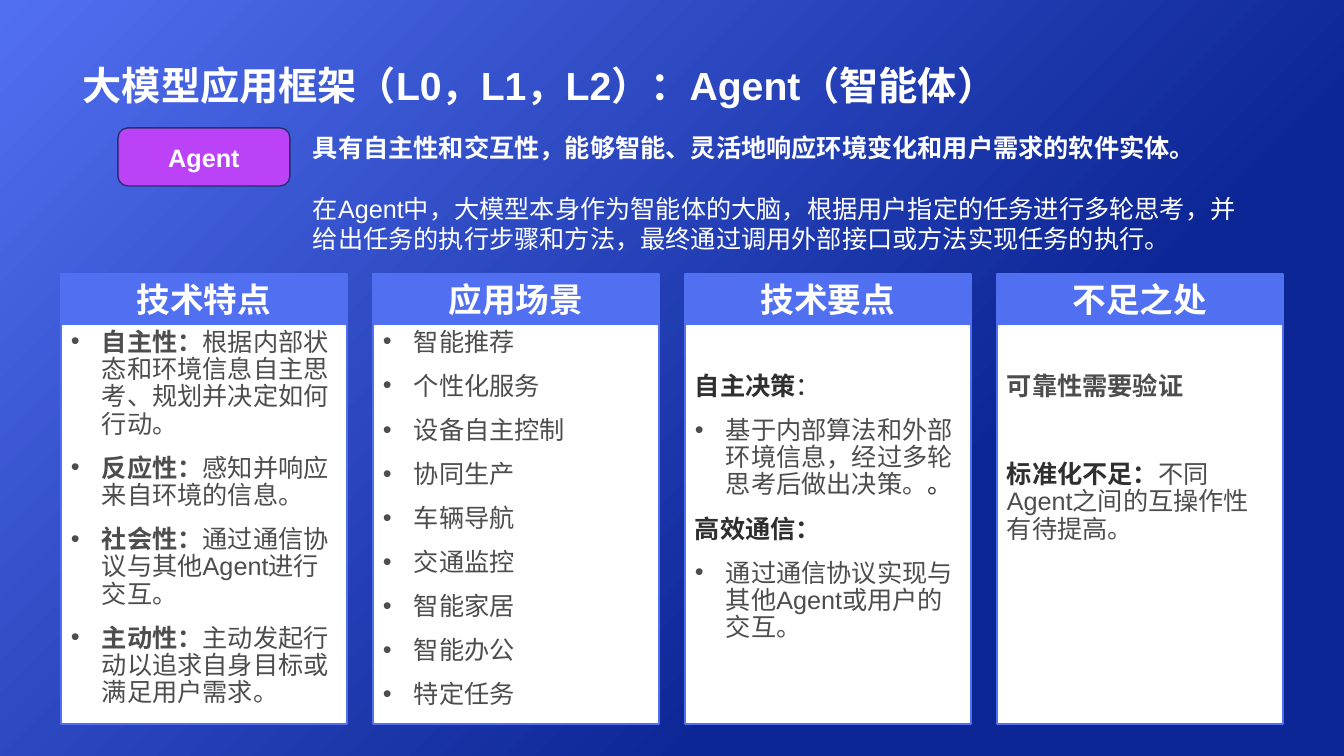
from lxml import etree
from pptx import Presentation
from pptx import util as u
from pptx.dml.color import RGBColor
from pptx.enum import shapes, text
from pptx.oxml.ns import qn

# Content: a paragraph is (kind, runs), a run is (text, colour, bold)
TITLE = "大模型应用框架（L0，L1，L2）：Agent（智能体）"
BADGE = "Agent"
INTRO = [
    ("plain", [("具有自主性和交互性，能够智能、灵活地响应环境变化和用户需求的软件实体。", "white", True)]),
    ("plain", [("在Agent中，大模型本身作为智能体的大脑，根据用户指定的任务进行多轮思考，"
                "并给出任务的执行步骤和方法，最终通过调用外部接口或方法实现任务的执行。", "white", False)]),
]
FEATURES = [
    ("自主性：", "根据内部状态和环境信息自主思考、规划并决定如何行动。"),
    ("反应性：", "感知并响应来自环境的信息。"),
    ("社会性：", "通过通信协议与其他Agent进行交互。"),
    ("主动性：", "主动发起行动以追求自身目标或满足用户需求。"),
]
SCENARIOS = ["智能推荐", "个性化服务", "设备自主控制", "协同生产", "车辆导航",
             "交通监控", "智能家居", "智能办公", "特定任务"]
KEY_POINTS = [
    ("plain", [("自主决策", "dark", True), ("：", "dark", False)]),
    ("bullet", [("基于内部算法和外部环境信息，经过多轮思考后做出决策。", "grey", False),
                ("。", "dark", False)]),
    ("plain", [("高效通信：", "dark", True)]),
    ("bullet", [("通过通信协议实现与其他Agent或用户的交互。", "grey", False)]),
]
SHORTCOMINGS = [
    ("plain", [("可靠性需要验证", "grey", True)]),
    ("plain", [("标准化不足：", "dark", True),
               ("不同Agent之间的互操作性有待提高。", "grey", False)]),
]
# Column: heading, paragraphs, top inset in px, extra gap between paragraphs in pt
COLUMNS = [
    ("技术特点", [("bullet", [(name, "grey", True), (desc, "grey", False)])
              for name, desc in FEATURES], 5, 0),
    ("应用场景", [("bullet", [(item, "grey", False)]) for item in SCENARIOS], 5, 0),
    ("技术要点", KEY_POINTS, 49, 0),
    ("不足之处", SHORTCOMINGS, 49, 31.5),
]

THEME = {
    "font": "Arial",
    "colors": {"white": "FFFFFF", "grey": "4D4D4D", "dark": "2F2F2F", "blue": "516FF1",
               "navy": "0C2695", "purple": "BB42F7", "outline": "24316A"},
    "title": 28, "heading": 24, "body": 18,
    "line": 19.5, "after": 12, "intro_gap": 22,
}
SLIDE_W, SLIDE_H = 1344, 756
TITLE_BOX = (73, 14, 1198, 99)
BADGE_BOX = (118, 128, 172, 58)
INTRO_BOX = (303, 127, 948, 132)
COL_LEFT, COL_PITCH, COL_W = 61, 312, 286
HEAD_TOP, HEAD_H, BODY_H = 274, 50, 400
BULLET_INDENT = 31
EMU_PER_PX = 12192000 / SLIDE_W


def px(n):
    return u.Emu(round(n * EMU_PER_PX))


def color(name):
    return RGBColor.from_string(THEME["colors"][name])


def add_bullet(p):
    pPr = p._p.get_or_add_pPr()
    pPr.set("marL", str(px(BULLET_INDENT)))
    pPr.set("indent", str(-px(BULLET_INDENT)))
    etree.SubElement(pPr, qn("a:buFont")).set("typeface", THEME["font"])
    etree.SubElement(pPr, qn("a:buChar")).set("char", "•")


def write(tf, paragraphs, size, align=text.PP_ALIGN.LEFT, gap=0, line=None, after=0):
    tf.word_wrap = True
    for i, (kind, runs) in enumerate(paragraphs):
        p = tf.add_paragraph() if i else tf.paragraphs[0]
        if kind == "bullet":
            add_bullet(p)
        p.alignment = align
        if line:
            p.line_spacing = u.Pt(line)
        if i and gap:
            p.space_before = u.Pt(gap)
        p.space_after = u.Pt(after)
        for content, ink, bold in runs:
            r = p.add_run()
            r.text = content
            r.font.name, r.font.size, r.font.bold = THEME["font"], u.Pt(size), bold
            r.font.color.rgb = color(ink)


def add_box(s, kind, box, fill, line, width):
    sp = s.shapes.add_shape(kind, *map(px, box))
    sp.shadow.inherit = False
    sp.fill.solid()
    sp.fill.fore_color.rgb = color(fill)
    sp.line.color.rgb = color(line)
    sp.line.width = u.Pt(width)
    return sp


def label(content):
    return [("plain", [(content, "white", True)])]


def main():
    prs = Presentation()
    prs.slide_width, prs.slide_height = px(SLIDE_W), px(SLIDE_H)
    s = prs.slides.add_slide(prs.slide_layouts[6])
    center = text.PP_ALIGN.CENTER

    # Gradient background
    fill = s.background.fill
    fill.gradient()
    fill.gradient_angle = 135
    for stop, (name, position) in zip(fill.gradient_stops, [("navy", 0.31), ("blue", 1)]):
        stop.color.rgb = color(name)
        stop.position = position

    # Title, badge and introduction
    tf = s.shapes.add_textbox(*map(px, TITLE_BOX)).text_frame
    tf.vertical_anchor = text.MSO_ANCHOR.BOTTOM
    write(tf, label(TITLE), THEME["title"])
    sp = add_box(s, shapes.MSO_SHAPE.ROUNDED_RECTANGLE, BADGE_BOX, "purple", "outline", 1)
    write(sp.text_frame, label(BADGE), THEME["body"], center)
    tf = s.shapes.add_textbox(*map(px, INTRO_BOX)).text_frame
    write(tf, INTRO, THEME["body"], gap=THEME["intro_gap"])

    # Four columns: heading bar above a white panel
    rect = shapes.MSO_SHAPE.RECTANGLE
    for i, (heading, paragraphs, inset, gap) in enumerate(COLUMNS):
        left = COL_LEFT + i * COL_PITCH
        sp = add_box(s, rect, (left, HEAD_TOP, COL_W, HEAD_H), "blue", "blue", 1.75)
        write(sp.text_frame, label(heading), THEME["heading"], center)
        sp = add_box(s, rect, (left, HEAD_TOP + HEAD_H, COL_W, BODY_H), "white", "blue", 1.75)
        tf = sp.text_frame
        tf.vertical_anchor = text.MSO_ANCHOR.TOP
        tf.margin_top = px(inset)
        write(tf, paragraphs, THEME["body"], gap=gap, line=THEME["line"], after=THEME["after"])

    prs.save("out.pptx")


if __name__ == "__main__":
    main()
